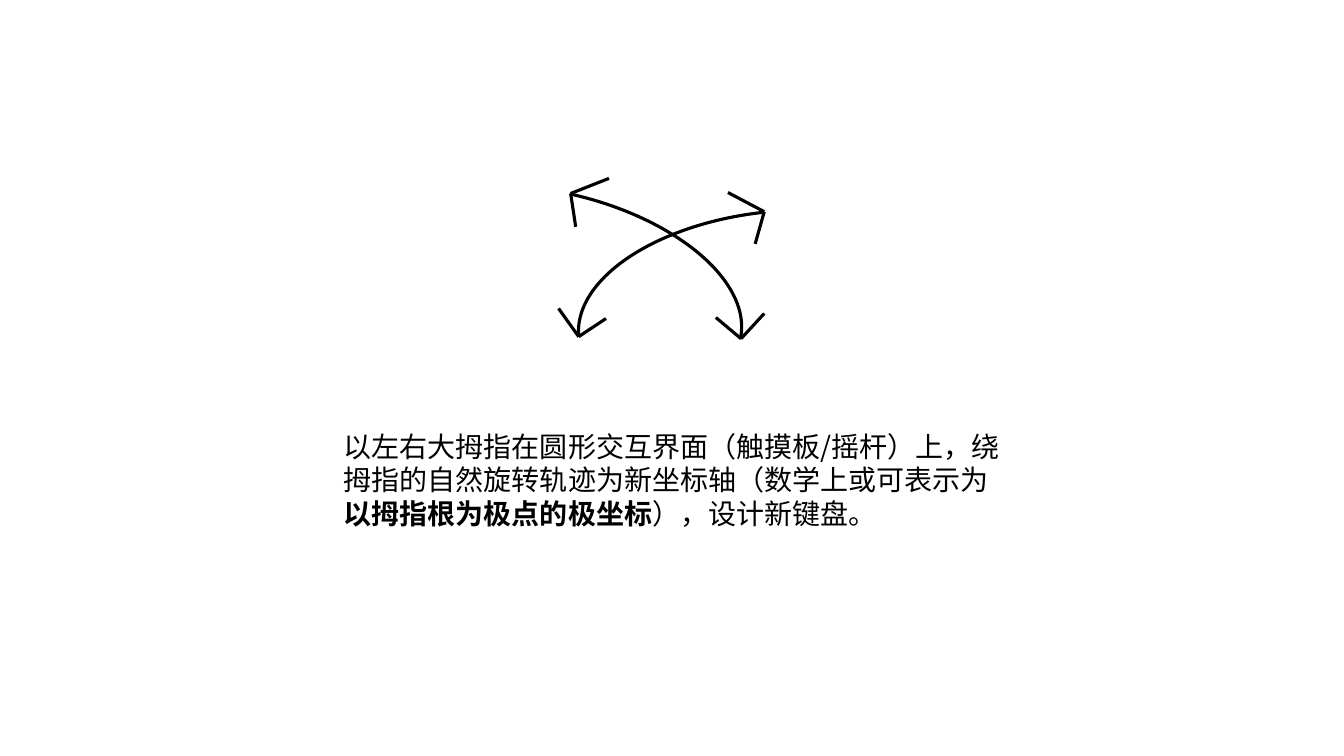
from lxml.etree import SubElement
from pptx import Presentation
from pptx.dml.color import RGBColor
from pptx.enum.shapes import MSO_CONNECTOR, MSO_SHAPE
from pptx.oxml.ns import qn
from pptx.util import Inches, Pt

# Content
FONT = "Noto Sans CJK SC"
COLORS = {"ink": "000000"}
CAPTION = [
    ("以左右大拇指在圆形交互界面（触摸板/摇杆）上，绕拇指的自然旋转轨迹为新坐标轴（数学上或可表示为", False),
    ("以拇指根为极点的极坐标", True),
    ("），设计新键盘。", False),
]
ARC_SIZE = (3.92, 2.07)
# Each thumb sweep: arc position, rotation, mirroring, and (tip, barb ends) of its arrowheads
SWEEPS = [
    {"at": (3.47, 1.9), "rotation": 12.6, "mirrored": False,
     "heads": [((5.66, 1.92), [(5.71, 2.25), (6.04, 1.77)]),
               ((7.35, 3.36), [(7.58, 3.11), (7.1, 3.15)])]},
    {"at": (5.73, 2.1), "rotation": 353.9, "mirrored": True,
     "heads": [((7.58, 2.1), [(7.49, 2.42), (7.22, 1.91)]),
               ((5.74, 3.34), [(5.54, 3.06), (6.01, 3.16)])]},
]


def set_line(shape):
    shape.line.color.rgb = RGBColor.from_string(COLORS["ink"])
    shape.line.width = Pt(2.25)


def add_arc(group, at, rotation, mirrored):
    arc = group.shapes.add_shape(MSO_SHAPE.ARC, *map(Inches, at + ARC_SIZE))
    arc.rotation = rotation
    arc.shadow.inherit = False
    arc.fill.background()
    set_line(arc)
    if mirrored:
        arc._element.spPr.find(qn("a:xfrm")).set("flipH", "1")


def add_barb(group, tip, end):
    barb = group.shapes.add_connector(MSO_CONNECTOR.STRAIGHT, *map(Inches, tip + end))
    set_line(barb)
    SubElement(barb._element.spPr, qn("a:effectLst"))


def add_text(slide, runs, at, size=20, color="ink", line_spacing=24):
    box = slide.shapes.add_textbox(*map(Inches, at))
    box.text_frame.word_wrap = True
    paragraph = box.text_frame.paragraphs[0]
    paragraph.line_spacing = Pt(line_spacing)
    for text, bold in runs:
        run = paragraph.add_run()
        run.text = text
        run.font.size = Pt(size)
        run.font.bold = bold
        run.font.name = FONT
        run.font.color.rgb = RGBColor.from_string(COLORS[color])
        SubElement(run.font._element, qn("a:ea")).set("typeface", FONT)


def main():
    presentation = Presentation()
    presentation.slide_width, presentation.slide_height = Inches(13.33), Inches(7.5)
    slide = presentation.slides.add_slide(presentation.slide_layouts[6])

    # Crossing thumb sweeps
    group = slide.shapes.add_group_shape()
    for sweep in SWEEPS:
        add_arc(group, sweep["at"], sweep["rotation"], sweep["mirrored"])
        for tip, ends in sweep["heads"]:
            for end in ends:
                add_barb(group, tip, end)

    # Caption
    add_text(slide, CAPTION, (3.31, 4.21, 6.84, 1.11))
    presentation.save("out.pptx")


if __name__ == "__main__":
    main()
